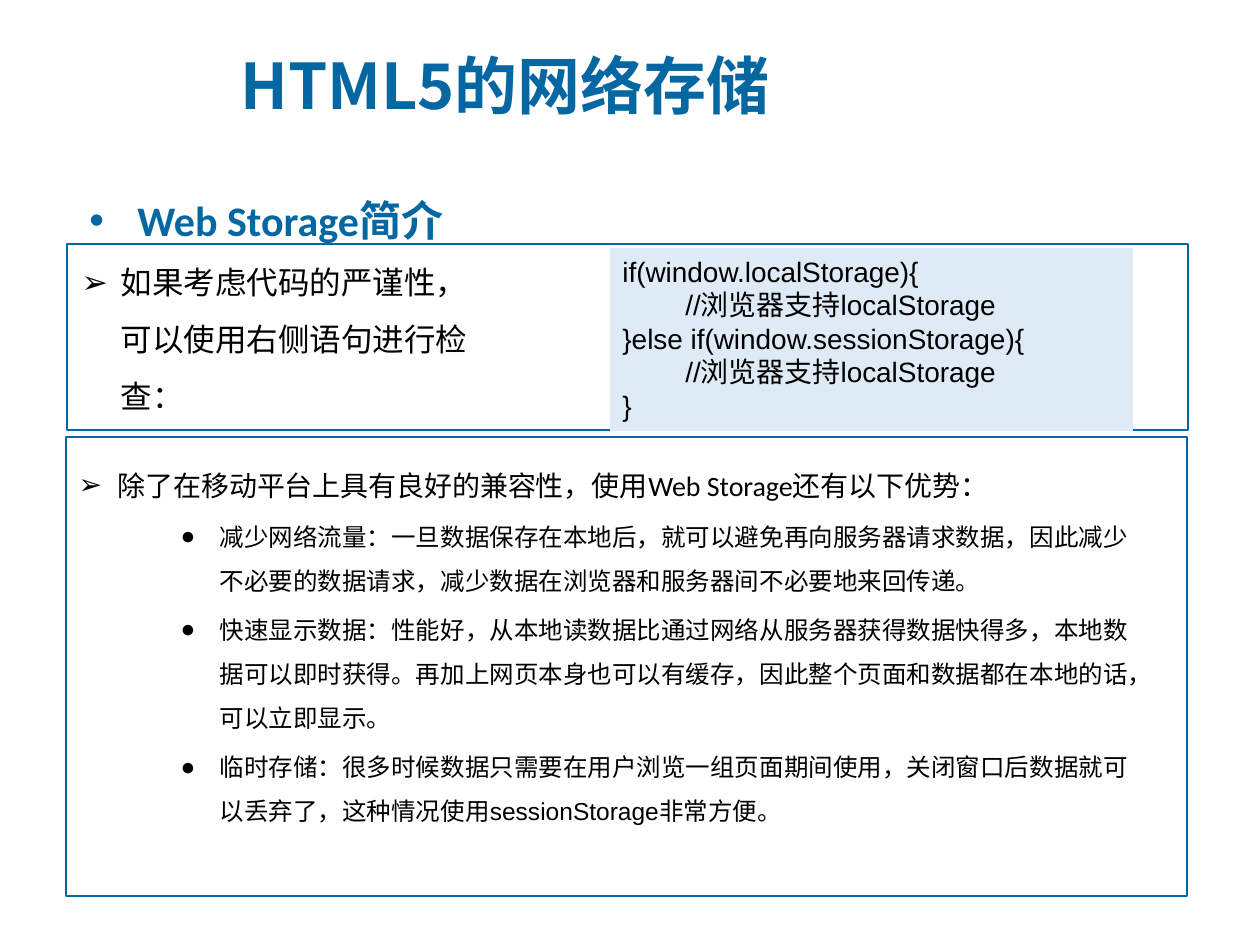
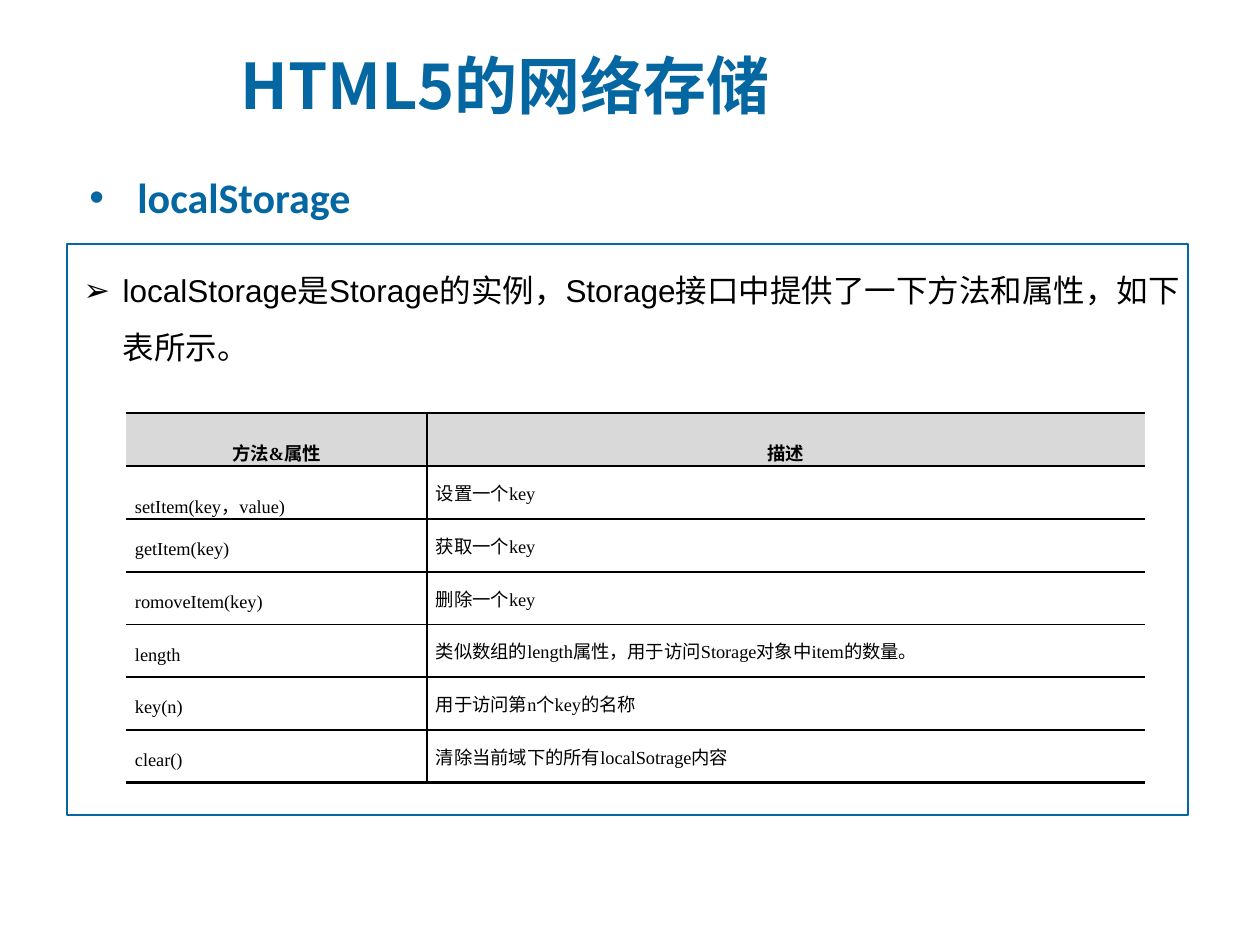
from dataclasses import dataclass

from lxml import etree
from pptx import Presentation
from pptx.dml.color import RGBColor
from pptx.enum.shapes import MSO_SHAPE
from pptx.enum.text import MSO_ANCHOR, MSO_AUTO_SIZE, PP_ALIGN
from pptx.oxml.ns import qn
from pptx.util import Emu, Inches, Pt

RECT = MSO_SHAPE.RECTANGLE
TOP, MID = MSO_ANCHOR.TOP, MSO_ANCHOR.MIDDLE
LEFT, CENTER, JUST = PP_ALIGN.LEFT, PP_ALIGN.CENTER, PP_ALIGN.JUSTIFY
FIXED = MSO_AUTO_SIZE.NONE


@dataclass(frozen=True)
class Theme:
    """Colours, fonts and type sizes of the deck."""
    blue: str = "0567A2"
    black: str = "000000"
    white: str = "FFFFFF"
    pale: str = "DEEBF7"
    grey: str = "D9D9D9"
    cjk: str = "Noto Sans CJK SC"
    sans: str = "Arial"
    head: str = "Calibri"
    serif: str = "Times New Roman"
    title: float = 36
    sub: float = 24
    lead: float = 18
    text: float = 16
    item: float = 14
    cell: float = 10.5


T = Theme()
TITLE = "HTML5的网络存储"
ARROW, DOT, DISC = "➢", "•", "●"

CHECK = "如果考虑代码的严谨性，可以使用右侧语句进行检查："
CODE = [
    "if(window.localStorage){",
    "\t//浏览器支持localStorage",
    "}else if(window.sessionStorage){",
    "\t//浏览器支持localStorage",
    "}",
]
GAINS = "除了在移动平台上具有良好的兼容性，使用Web Storage还有以下优势："
POINTS = [
    "减少网络流量：一旦数据保存在本地后，就可以避免再向服务器请求数据，因此减少"
    "不必要的数据请求，减少数据在浏览器和服务器间不必要地来回传递。",
    "快速显示数据：性能好，从本地读数据比通过网络从服务器获得数据快得多，本地数"
    "据可以即时获得。再加上网页本身也可以有缓存，因此整个页面和数据都在本地的话，"
    "可以立即显示。",
    "临时存储：很多时候数据只需要在用户浏览一组页面期间使用，关闭窗口后数据就可"
    "以丢弃了，这种情况使用sessionStorage非常方便。",
]
LOCAL = "localStorage是Storage的实例，Storage接口中提供了一下方法和属性，如下表所示。"
ROWS = [
    ("方法&属性", "描述"),
    ("setItem(key，value)", "设置一个key"),
    ("getItem(key)", "获取一个key"),
    ("romoveItem(key)", "删除一个key"),
    ("length", "类似数组的length属性，用于访问Storage对象中item的数量。"),
    ("key(n)", "用于访问第n个key的名称"),
    ("clear()", "清除当前域下的所有localSotrage内容"),
]
COLS = (301, 718)


def px(n):
    """Turn pixels into EMU."""
    return Emu(round(n * Inches(1) / 126))


def rgb(code):
    """Turn a hex code into a colour."""
    return RGBColor.from_string(code)


def style(para, face, size, color=T.black, bold=False):
    """Format every run of a paragraph."""
    for run in para.runs:
        font = run.font
        font.size, font.bold, font.name = Pt(size), bold, face
        font.color.rgb = rgb(color)
        ea = etree.SubElement(run._r.get_or_add_rPr(), qn("a:ea"))
        ea.set("typeface", T.cjk)


def bullet(para, mark, left, hang, space, before):
    """Give a paragraph a hanging bullet and its spacing."""
    para.line_spacing, para.space_before = space, Pt(before)
    prop = para._p.get_or_add_pPr()
    prop.set("marL", str(px(left)))
    prop.set("indent", str(-px(hang)))
    etree.SubElement(prop, qn("a:buFont")).set("typeface", T.sans)
    etree.SubElement(prop, qn("a:buChar")).set("char", mark)


def place(shape, box):
    """Move a shape to a box given in pixels."""
    shape.left, shape.top, shape.width, shape.height = map(px, box)


def fill(frame, lines, anchor=TOP):
    """Write one paragraph per line and return the paragraphs."""
    frame.text = "\n".join(lines)
    frame.word_wrap, frame.auto_size = True, FIXED
    frame.vertical_anchor = anchor
    return frame.paragraphs


def panel(slide, box, color):
    """Add a plain rectangle without line or shadow."""
    shape = slide.shapes.add_shape(RECT, *map(px, box))
    shape.shadow.inherit = False
    shape.fill.solid()
    shape.fill.fore_color.rgb = rgb(color)
    shape.line.fill.background()
    return shape


def frame(slide, box):
    """Add a blue outlined panel behind the text."""
    shape = panel(slide, box, T.white)
    shape.line.color.rgb, shape.line.width = rgb(T.blue), Pt(0.75)
    tint = shape._element.spPr.find(".//" + qn("a:srgbClr"))
    etree.SubElement(tint, qn("a:alpha")).set("val", "90000")
    tree = shape._element.getparent()
    tree.insert(2, shape._element)


def start(deck, kind, topic, box):
    """Add a slide with the shared title and a topic line."""
    slide = deck.slides.add_slide(deck.slide_layouts[kind])
    title = slide.shapes.title
    place(title, (228, 34, 1031, 100))
    para = fill(title.text_frame, [TITLE], MID)[0]
    para.alignment = LEFT
    style(para, T.cjk, T.title, T.blue, True)
    label = slide.shapes.add_textbox(*map(px, box))
    para = fill(label.text_frame, [topic])[0]
    bullet(para, DOT, 48, 48, 1.5, T.sub * 0.2)
    style(para, T.head, T.sub, T.blue, True)
    return slide


def lead(slide, text, box, face, before):
    """Fill the first body placeholder with an arrow paragraph."""
    body = slide.placeholders[1]
    place(body, box)
    para = fill(body.text_frame, [text])[0]
    bullet(para, ARROW, 39, 39, 1.5, before)
    style(para, face, T.lead)


def border(cell, sides):
    """Set the cell's left, right, top and bottom line widths."""
    prop = cell._tc.get_or_add_tcPr()
    for side, width in zip("LRTB", sides):
        line = etree.SubElement(prop, qn("a:ln" + side), w=str(Pt(width)))
        if width:
            paint = etree.SubElement(line, qn("a:solidFill"))
            etree.SubElement(paint, qn("a:srgbClr")).set("val", T.black)
        else:
            etree.SubElement(line, qn("a:noFill"))


def grid(slide, left, top, height):
    """Add the table of methods."""
    last = len(ROWS) - 1
    table = slide.shapes.add_table(len(ROWS), len(COLS), px(left), px(top),
                                   px(sum(COLS)), px(height)).table
    table.first_row = table.horz_banding = False
    for col, width in zip(table.columns, COLS):
        col.width = px(width)
    for r, row in enumerate(ROWS):
        table.rows[r].height = px(height / len(ROWS))
        for c, text in enumerate(row):
            cell = table.cell(r, c)
            cell.text = text
            cell.margin_left = cell.margin_right = px(9)
            cell.margin_top = cell.margin_bottom = 0
            border(cell, (c, 1 - c, 1 if r else 1.5, 1.5 if r == last else 1))
            para = cell.text_frame.paragraphs[0]
            style(para, T.serif, T.cell, bold=r == 0)
            if r == 0:
                cell.fill.solid()
                cell.fill.fore_color.rgb = rgb(T.grey)
                para.alignment = CENTER
            else:
                cell.fill.background()
            if r and c:
                para.alignment, cell.vertical_anchor = JUST, MID
            else:
                para.line_spacing = 2.0


def intro(deck):
    """Build the slide on support checks and gains."""
    slide = start(deck, 3, "Web Storage简介", (77, 163, 402, 81))
    frame(slide, (67, 244, 1121, 186))
    frame(slide, (66, 437, 1121, 459))
    lead(slide, CHECK, (69, 238, 414, 91), T.head, T.lead * 0.2)
    code = panel(slide, (610, 248, 523, 183), T.pale)
    for para in fill(code.text_frame, CODE):
        para.alignment = LEFT
        style(para, T.sans, T.text)
    body = slide.placeholders[2]
    place(body, (66, 452, 1096, 444))
    first, *rest = fill(body.text_frame, [GAINS] + POINTS)
    bullet(first, ARROW, 39, 39, 1.3, T.text * 0.2)
    style(first, T.head, T.text)
    for para in rest:
        bullet(para, DISC, 141, 39, 1.5, T.item * 0.2)
        style(para, T.sans, T.item)


def local(deck):
    """Build the slide on localStorage."""
    slide = start(deck, 1, "localStorage", (77, 140, 307, 81))
    frame(slide, (67, 244, 1121, 571))
    lead(slide, LOCAL, (71, 246, 1123, 120), T.sans, 0)
    grid(slide, 126, 413, 369)


deck = Presentation()
deck.slide_width, deck.slide_height = px(1260), px(945)
intro(deck)
local(deck)
deck.save("out.pptx")
